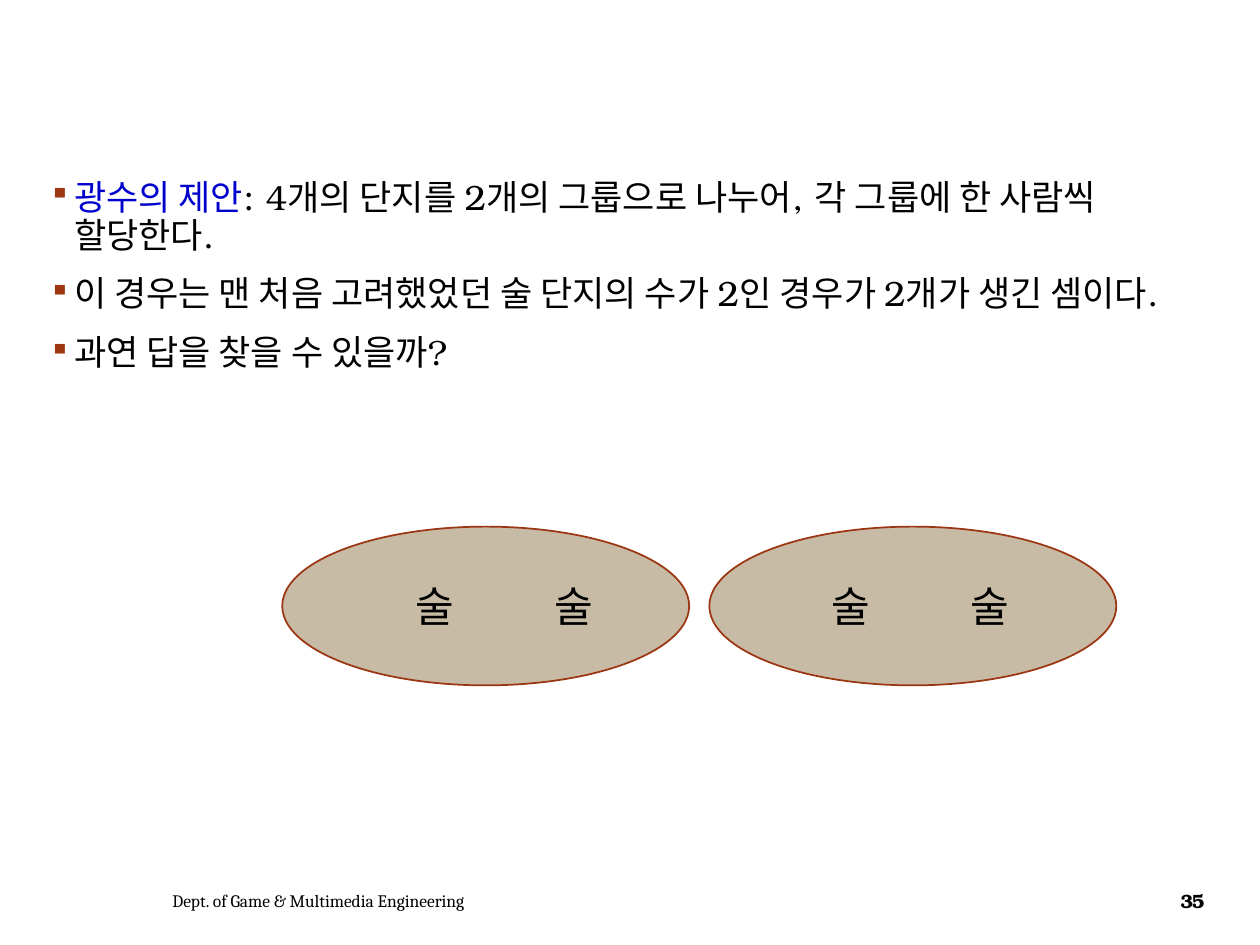
from dataclasses import dataclass

from lxml.etree import SubElement
from pptx import Presentation
from pptx.dml.color import RGBColor
from pptx.enum.shapes import MSO_SHAPE
from pptx.enum.text import MSO_ANCHOR, PP_ALIGN
from pptx.oxml.ns import qn
from pptx.slide import Slide
from pptx.util import Inches, Pt


def color(value):
    return RGBColor.from_string(value)


@dataclass
class SlideBuilder:
    page: Slide
    font: str = "TeX Gyre Bonum"
    ink: str = "000000"
    highlight: str = "0000CC"
    bullet: str = "9E3611"
    outline: str = "9C3511"
    fill: str = "C7BBA6"

    def frame(self, left, top, width, height, anchor=MSO_ANCHOR.TOP):
        box = self.page.shapes.add_textbox(
            Inches(left), Inches(top), Inches(width), Inches(height)
        )
        box.text_frame.word_wrap = True
        box.text_frame.vertical_anchor = anchor
        return box.text_frame

    def style(self, para, size, font=None, bold=False):
        para.font.name = font or self.font
        para.font.size = Pt(size)
        para.font.bold = bold
        para.font.color.rgb = color(self.ink)

    def label(self, text, place, size, font=None, bold=False,
              align=PP_ALIGN.CENTER, anchor=MSO_ANCHOR.TOP):
        para = self.frame(*place, anchor).paragraphs[0]
        para.text = text
        para.alignment = align
        self.style(para, size, font, bold)
        return para

    def add_bullet(self, para):
        properties = para._p.get_or_add_pPr()
        properties.set("marL", str(Inches(0.2)))
        properties.set("indent", str(-Inches(0.2)))
        bullet_color = SubElement(properties, qn("a:buClr"))
        SubElement(bullet_color, qn("a:srgbClr"), val=self.bullet)
        SubElement(properties, qn("a:buSzPct"), val="85000")
        SubElement(properties, qn("a:buChar"), char="▪")

    def bullets(self, items, place):
        frame = self.frame(*place)
        for index, (lead, text) in enumerate(items):
            para = frame.add_paragraph() if index else frame.paragraphs[0]
            self.add_bullet(para)
            para.line_spacing = 0.9
            para.space_before = Pt(12 if index else 0)
            self.style(para, 20)
            if lead:
                span = para.add_run()
                span.text = lead
                span.font.color.rgb = color(self.highlight)
            para.add_run().text = text

    def ellipse(self, left, top, width, height):
        shape = self.page.shapes.add_shape(
            MSO_SHAPE.OVAL, Inches(left), Inches(top), Inches(width), Inches(height)
        )
        shape.shadow.inherit = False
        shape.fill.solid()
        shape.fill.fore_color.rgb = color(self.fill)
        shape.line.color.rgb = color(self.outline)
        shape.line.width = Pt(1)


def main():
    deck = Presentation()
    deck.slide_width, deck.slide_height = Inches(10), Inches(7.5)
    builder = SlideBuilder(deck.slides.add_slide(deck.slide_layouts[6]))

    proposal = [
        ("광수의 제안", ": 4개의 단지를 2개의 그룹으로 나누어, 각 그룹에 한 사람씩 할당한다."),
        ("", "이 경우는 맨 처음 고려했었던 술 단지의 수가 2인 경우가 2개가 생긴 셈이다."),
        ("", "과연 답을 찾을 수 있을까?"),
    ]
    builder.bullets(proposal, (0.29, 1.38, 9.43, 5.37))

    for group_left, first_jar in ((2.24, 3.17), (5.63, 6.47)):
        builder.ellipse(group_left, 4.18, 3.23, 1.26)
        for jar_left in (first_jar, first_jar + 1.1):
            builder.label("술", (jar_left, 4.56, 0.57, 0.44), 24)

    builder.label("Dept. of Game & Multimedia Engineering", (1.27, 6.95, 4.59, 0.4),
                  10, font="Cambria", align=PP_ALIGN.LEFT, anchor=MSO_ANCHOR.MIDDLE)
    number = builder.label("35", (9.2, 6.95, 0.53, 0.4), 11, bold=True,
                           anchor=MSO_ANCHOR.MIDDLE)
    number.runs[0]._r.get_or_add_rPr().set("spc", "-70")

    deck.save("out.pptx")


if __name__ == "__main__":
    main()
